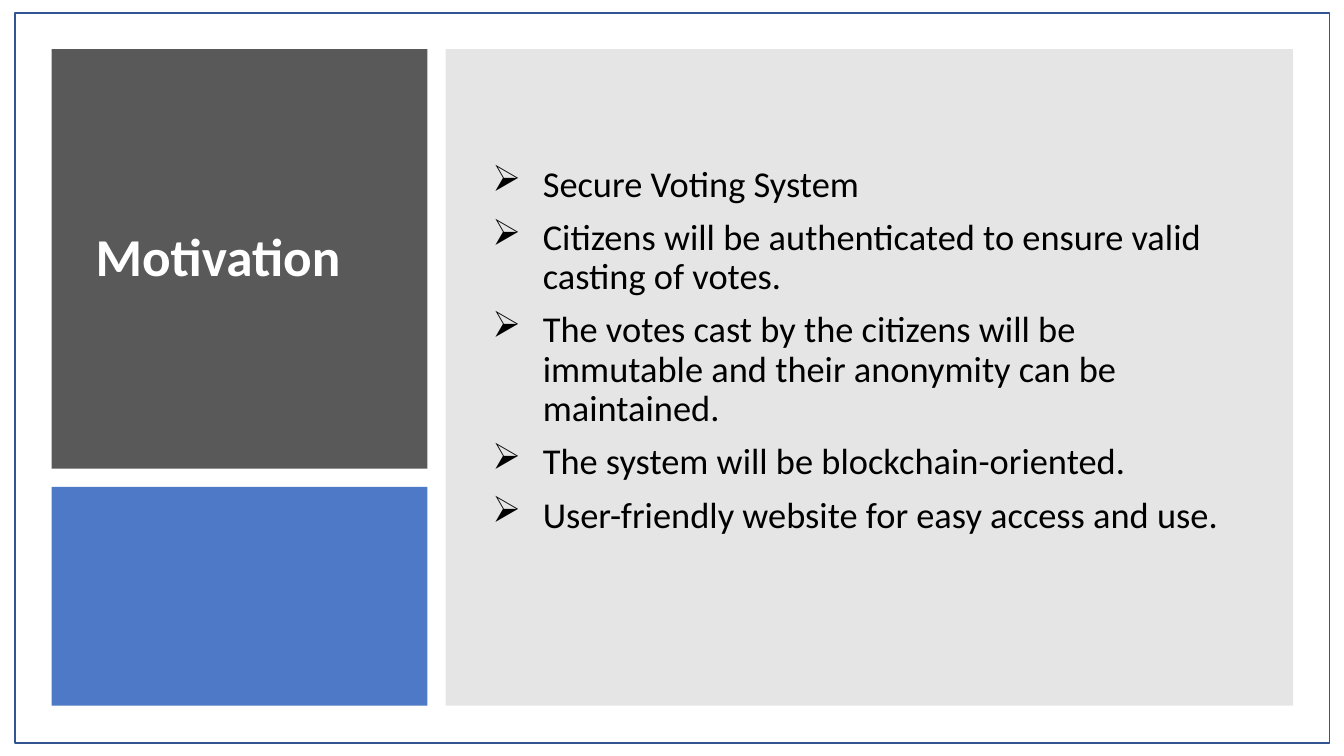
import pptx
import pptx.util
import pptx.dml.color
import pptx.enum.shapes
import pptx.enum.text
import pptx.oxml.ns
import lxml.etree

Cm, Pt = pptx.util.Cm, pptx.util.Pt

# Content
TITLE = "Motivation"
POINTS = [
    "Secure Voting System",
    "Citizens will be authenticated to ensure valid casting of votes.",
    "The votes cast by the citizens will be immutable and their anonymity can be maintained.",
    "The system will be blockchain-oriented.",
    "User-friendly website for easy access and use.",
]

# Theme
THEME = {
    "font": "Calibri", "title": 38, "body": 26,
    "dark": "595959", "blue": "4472C4", "gray": "808080",
    "frame": "325491", "white": "FFFFFF", "black": "000000",
}

# Layout in centimetres: two panels on the left, a tall one on the right
LEFT, TOP, GAP = 1.3, 1.24, 0.46
SIDE, HIGH, LOW, WIDE = 9.47, 10.57, 5.51, 21.36
PANELS = [  # left, top, width, height, colour, opacity in percent
    (LEFT, TOP, SIDE, HIGH, "dark", 100),
    (LEFT, TOP + HIGH + GAP, SIDE, LOW, "blue", 95),
    (LEFT + SIDE + GAP, TOP, WIDE, HIGH + GAP + LOW, "gray", 20),
]
FRAME = (0.38, 0.33, 33.12, 18.39)
HEAD = (2.16, 2.03, 7.9, 8.99)
BODY = (11.86, 2.59, 19.56, 12.5)
INDENT, HANG = 1.57, 1.27

deck = pptx.Presentation()
deck.slide_width, deck.slide_height = Cm(33.87), Cm(19.05)
slide = deck.slides.add_slide(deck.slide_layouts[6])


def color(name):
    return pptx.dml.color.RGBColor.from_string(THEME[name])


def add_rect(box):
    kind = pptx.enum.shapes.MSO_SHAPE.RECTANGLE
    shape = slide.shapes.add_shape(kind, *map(Cm, box))
    shape.shadow.inherit = False
    return shape


def add_panel(box, name, alpha):
    shape = add_rect(box)
    shape.fill.solid()
    shape.fill.fore_color.rgb = color(name)
    shape.line.fill.background()
    if alpha < 100:
        tone = shape.fill._xPr.find(".//" + pptx.oxml.ns.qn("a:srgbClr"))
        lxml.etree.SubElement(tone, pptx.oxml.ns.qn("a:alpha"), val=str(alpha * 1000))


def add_text(box, lines, size, name, bold=False, space=0):
    frame = slide.shapes.add_textbox(*map(Cm, box)).text_frame
    frame.word_wrap = True
    frame.vertical_anchor = pptx.enum.text.MSO_ANCHOR.MIDDLE
    frame.text = "\n".join(lines)
    for para in frame.paragraphs:
        para.line_spacing = 0.9
        para.space_before = Pt(space)
        para.font.name = THEME["font"]
        para.font.size = Pt(THEME[size])
        para.font.bold = bold
        para.font.color.rgb = color(name)
    return frame


def add_bullet(para):
    props = para._p.get_or_add_pPr()
    props.set("marL", str(Cm(INDENT)))
    props.set("indent", str(-Cm(HANG)))
    mark = lxml.etree.Element(pptx.oxml.ns.qn("a:buChar"), char="➢")
    props.find(pptx.oxml.ns.qn("a:defRPr")).addprevious(mark)


# Panels
for *box, name, alpha in PANELS:
    add_panel(box, name, alpha)

# Title and bullet list
add_text(HEAD, [TITLE], "title", "white", bold=True)
for para in add_text(BODY, POINTS, "body", "black", space=10).paragraphs:
    add_bullet(para)

# Outer frame
border = add_rect(FRAME)
border.fill.background()
border.line.color.rgb = color("frame")
border.line.width = Pt(1)

deck.save("out.pptx")
